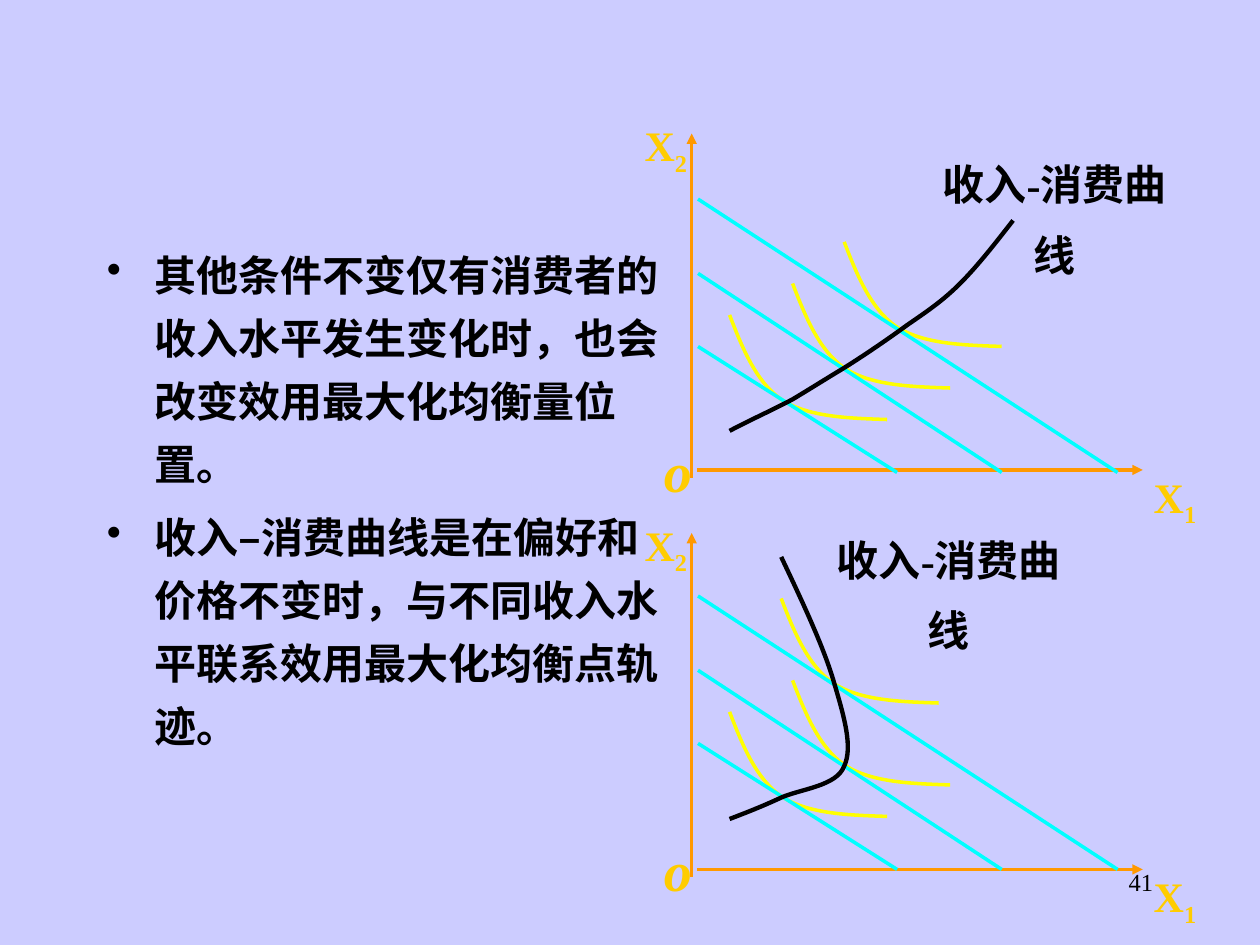
"""Build a slide on income-consumption curves with two indifference diagrams."""
from lxml.etree import SubElement
from pptx import Presentation
from pptx.dml.color import RGBColor
from pptx.enum.shapes import MSO_CONNECTOR
from pptx.enum.text import MSO_ANCHOR, MSO_AUTO_SIZE, PP_ALIGN
from pptx.oxml.ns import qn
from pptx.util import Inches, Pt

BACKGROUND = RGBColor(0xCC, 0xCC, 0xFF)
BLACK = RGBColor(0, 0, 0)
ORANGE = RGBColor(0xFF, 0x99, 0)
GOLD = RGBColor(0xFF, 0xCC, 0)
YELLOW = RGBColor(0xFF, 0xFF, 0)
CYAN = RGBColor(0, 0xFF, 0xFF)
SERIF, CJK = "Times New Roman", "Noto Sans CJK SC"

BULLETS = [
    [("其他条件不变仅有消费者的收入水平发生变化时，也会改变效用最大化均衡量位置。", SERIF)],
    [("收入", SERIF), ("–", CJK),
     ("消费曲线是在偏好和价格不变时，与不同收入水平联系效用最大化均衡点轨迹。", SERIF)],
]
CAPTION = "收入-消费曲线"
PAGE_NUMBER = "41"

AXIS_LABELS = [("X", "1", 8.88, 3.56), ("X", "2", 4.84, 0.77)]
BUDGET_LEFT, BUDGET_BASE = 5.54, 3.75
BUDGETS = [(2.75, 7.12), (2.17, 7.95), (1.58, 8.87)]
INDIFFERENCE = [(0, 0), (0.1, 0.26), (0.21, 0.53), (0.41, 0.67),
                (0.62, 0.81), (0.94, 0.82), (1.25, 0.83)]
DIAGRAMS = [
    {"axis_shift": 0, "budget_shift": 0,
     "indifference": [(5.79, 2.5), (6.29, 2.25), (6.7, 1.92)],
     "caption": (7.04, 1.1),
     "path": [(5.79, 3.42), (5.96, 3.33), (6.14, 3.25), (6.29, 3.17),
              (6.44, 3.08), (6.55, 3.01), (6.7, 2.92), (6.86, 2.82),
              (7.05, 2.69), (7.2, 2.58), (7.36, 2.47), (7.48, 2.39),
              (7.62, 2.25), (7.76, 2.11), (7.9, 1.93), (8.04, 1.75)]},
    {"axis_shift": 3.17, "budget_shift": 3.15,
     "indifference": [(5.79, 5.65), (6.29, 5.4), (6.2, 4.75)],
     "caption": (6.2, 4.08),
     "path": [(5.79, 6.5), (5.92, 6.45), (6.05, 6.4), (6.2, 6.33),
              (6.36, 6.26), (6.64, 6.24), (6.7, 6.08), (6.77, 5.93),
              (6.7, 5.69), (6.62, 5.42), (6.54, 5.14), (6.37, 4.78),
              (6.2, 4.42)]},
]
TEXT_INSETS = (0.1, 0.05, 0.1, 0.05)
CAPTION_INSETS = (0.28, 0, 0.04, 0.17)
LABEL_INSETS = (0.24, 0, 0, 0.17)


def add_text_box(s, box, insets, wrap=True):
    tf = s.shapes.add_textbox(*map(Inches, box)).text_frame
    tf.word_wrap = wrap
    tf.vertical_anchor = MSO_ANCHOR.TOP
    (tf.margin_left, tf.margin_top,
     tf.margin_right, tf.margin_bottom) = map(Inches, insets)
    return tf


def add_run(p, text, size, color=BLACK, bold=True, italic=False,
            font=SERIF, baseline=None):
    r = p.add_run()
    r.text = text
    r.font.size, r.font.name = Pt(size), font
    r.font.bold, r.font.italic = bold, italic
    r.font.color.rgb = color
    rPr = r.font._element
    SubElement(rPr, qn("a:ea")).set("typeface", CJK)
    if baseline:
        rPr.set("baseline", str(baseline))


def add_label(s, box, insets=LABEL_INSETS, wrap=False):
    tf = add_text_box(s, box, insets, wrap)
    tf.auto_size = MSO_AUTO_SIZE.SHAPE_TO_FIT_TEXT
    p = tf.paragraphs[0]
    p.alignment, p.line_spacing = PP_ALIGN.CENTER, 1.4
    return p


def add_line(s, start, end, color, width, arrow=False):
    cn = s.shapes.add_connector(MSO_CONNECTOR.STRAIGHT,
                                *map(Inches, (*start, *end)))
    cn.line.color.rgb, cn.line.width = color, Pt(width)
    if arrow:
        SubElement(cn.line._get_or_add_ln(), qn("a:tailEnd")).set("type", "triangle")
    SubElement(cn._element.spPr, qn("a:effectLst"))


def add_curve(s, nodes, color, width):
    """Draw cubic Bezier segments through a start node and triples of nodes."""
    points = [(Inches(x), Inches(y)) for x, y in nodes]
    builder = s.shapes.build_freeform(*points[0])
    builder.add_line_segments(points[1:], close=False)
    sp = builder.convert_to_shape()
    sp.fill.background()
    sp.line.color.rgb, sp.line.width = color, Pt(width)
    sp.shadow.inherit = False
    outline = next(sp._element.iter(qn("a:path")))
    segments = outline.findall(qn("a:lnTo"))
    for i in range(0, len(segments), 3):
        cubic = SubElement(outline, qn("a:cubicBezTo"))
        for segment in segments[i:i + 3]:
            cubic.append(segment[0])
            outline.remove(segment)


def add_bullets(s):
    tf = add_text_box(s, (0.75, 1.83, 4.58, 5.17), TEXT_INSETS)
    for i, runs in enumerate(BULLETS):
        p = tf.add_paragraph() if i else tf.paragraphs[0]
        p.line_spacing, p.space_before = 1.25, Pt(6)
        pPr = p._p.get_or_add_pPr()
        pPr.set("marL", str(Inches(0.38)))
        pPr.set("indent", str(-Inches(0.38)))
        pPr.set("hangingPunct", "0")
        SubElement(pPr, qn("a:buFontTx"))
        SubElement(pPr, qn("a:buChar")).set("char", "•")
        for text, font in runs:
            add_run(p, text, 24, font=font)


def add_diagram(s, diagram):
    dy = diagram["axis_shift"]
    add_line(s, (5.53, 3.73 + dy), (9.07, 3.73 + dy), ORANGE, 1.75, arrow=True)
    add_line(s, (5.49, 3.79 + dy), (5.49, 1.06 + dy), ORANGE, 1.75, arrow=True)
    add_run(add_label(s, (4.99, 3.25 + dy, 0.54, 0.9)), "o", 32, GOLD, italic=True)
    for name, index, x, y in AXIS_LABELS:
        p = add_label(s, (x, y + dy, 0.65, 0.81))
        add_run(p, name, 24, GOLD)
        add_run(p, index, 24, GOLD, baseline=-25000)

    dy = diagram["budget_shift"]
    for (x0, y0), (top, right) in zip(diagram["indifference"], BUDGETS):
        add_curve(s, [(x0 + x, y0 + y) for x, y in INDIFFERENCE], YELLOW, 2)
        add_line(s, (BUDGET_LEFT, top + dy), (right, BUDGET_BASE + dy), CYAN, 2)
    add_curve(s, diagram["path"], BLACK, 2.5)
    p = add_label(s, (*diagram["caption"], 2.42, 1.29), CAPTION_INSETS, wrap=True)
    add_run(p, CAPTION, 24)


def main():
    prs = Presentation()
    prs.slide_width, prs.slide_height = Inches(10), Inches(7.5)
    s = prs.slides.add_slide(prs.slide_layouts[6])
    s.background.fill.solid()
    s.background.fill.fore_color.rgb = BACKGROUND
    p = add_text_box(s, (7.17, 6.83, 2.08, 0.5), TEXT_INSETS).paragraphs[0]
    p.alignment = PP_ALIGN.RIGHT
    add_run(p, PAGE_NUMBER, 14, bold=False)
    add_bullets(s)
    for diagram in DIAGRAMS:
        add_diagram(s, diagram)
    prs.save("out.pptx")


if __name__ == "__main__":
    main()
